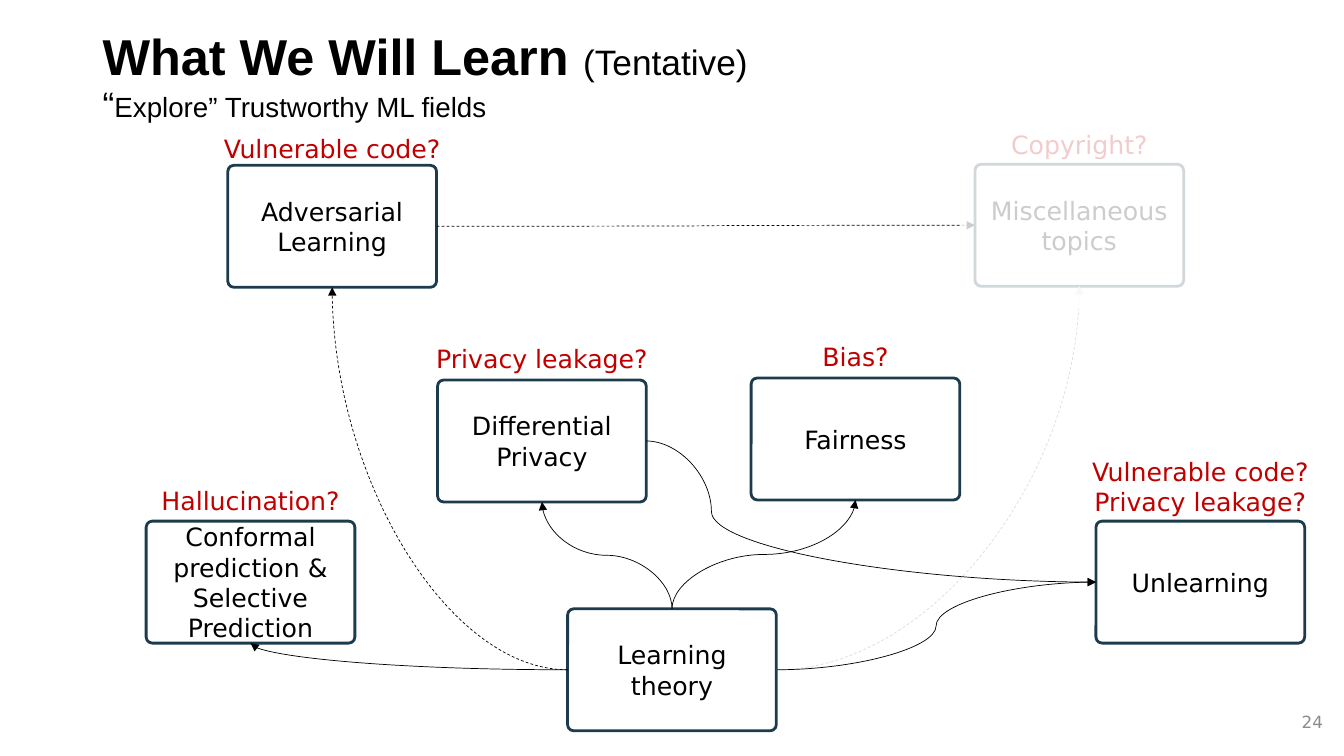
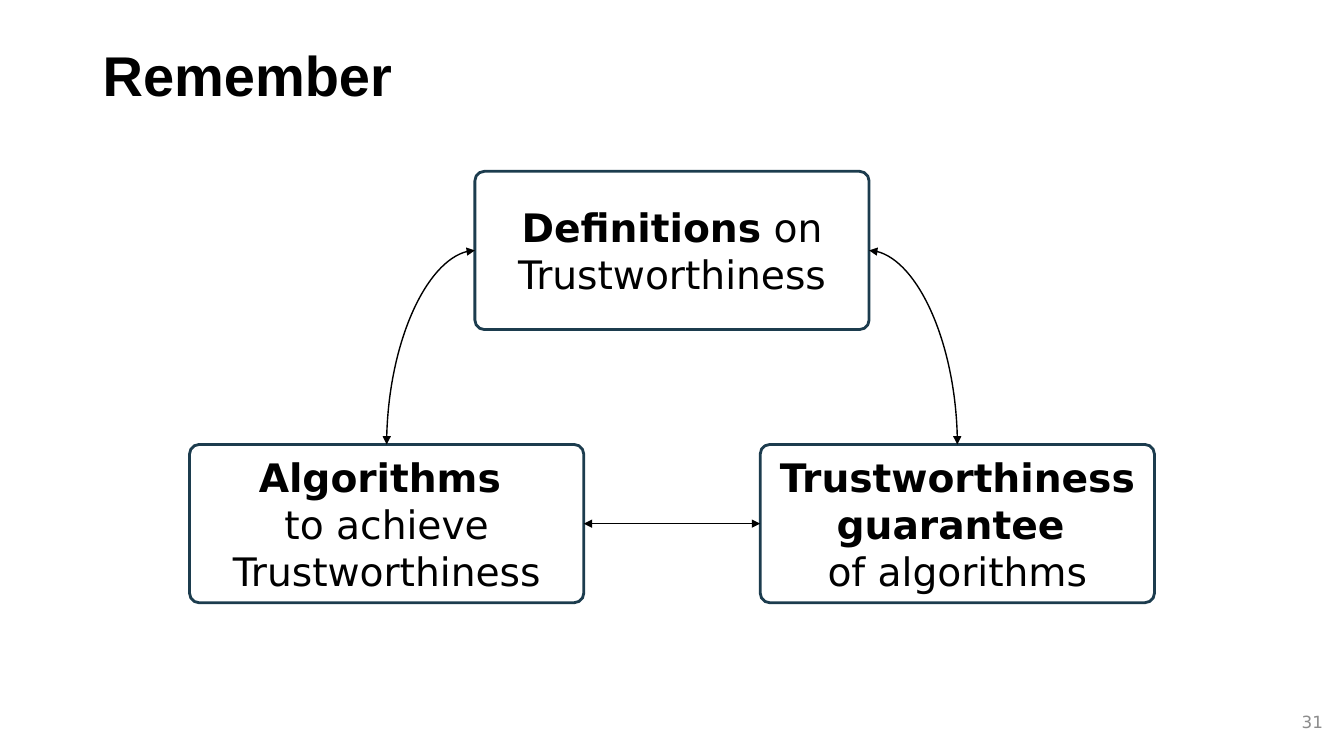
import pptx
import pptx.util
import pptx.dml.color
import pptx.enum.dml
import pptx.enum.shapes
import pptx.enum.text
import pptx.oxml.ns
import lxml.etree

Inches = pptx.util.Inches
Pt = pptx.util.Pt
Kind = pptx.enum.shapes.MSO_SHAPE
Wire = pptx.enum.shapes.MSO_CONNECTOR
Align = pptx.enum.text.PP_ALIGN
Anchor = pptx.enum.text.MSO_ANCHOR
qn = pptx.oxml.ns.qn

TOP, LEFT, BASE, RIGHT = range(4)


def color(code):
    return pptx.dml.color.RGBColor.from_string(code)


def child(node, tag, **attrs):
    return lxml.etree.SubElement(node, qn(tag), attrs)


def write(frame, paras, size=18, font="DejaVu Sans", ink="000000", bold=False,
          align=Align.CENTER, anchor=Anchor.MIDDLE, lead=None):
    frame.word_wrap = True
    frame.vertical_anchor = anchor
    for i, runs in enumerate(paras):
        para = frame.paragraphs[0] if i == 0 else frame.add_paragraph()
        para.alignment = align
        para.line_spacing = lead
        for item in [runs] if isinstance(runs, str) else runs:
            if item == "\n":
                para.add_line_break()
                continue
            text, style = (item, {}) if isinstance(item, str) else item
            run = para.add_run()
            run.text = text
            run.font.name = font
            run.font.size = Pt(style.get("size", size))
            run.font.bold = style.get("bold", bold)
            run.font.color.rgb = color(ink)


class Deck:
    edge, alert, ink, gray, white = "1C3C4E", "C00000", "000000", "8C8C8C", "FFFFFF"

    def __init__(self):
        self.file = pptx.Presentation()
        self.file.slide_width = Inches(13.33)
        self.file.slide_height = Inches(7.5)
        self.slide = None

    def start(self, title, size):
        self.slide = self.file.slides.add_slide(self.file.slide_layouts[6])
        self.text(0.92, 0.4, 11.5, 0.76, [title], size=size, font="Arial",
                  bold=True, align=Align.LEFT, lead=0.9)

    def text(self, x, y, w, h, paras, **style):
        area = self.slide.shapes.add_textbox(*map(Inches, (x, y, w, h)))
        write(area.text_frame, paras, **style)

    def number(self, value):
        self.text(10.22, 6.96, 3, 0.4, [value], size=12, ink=self.gray,
                  align=Align.RIGHT)

    def shape(self, kind, x, y, w, h):
        shape = self.slide.shapes.add_shape(kind, *map(Inches, (x, y, w, h)))
        shape.shadow.inherit = False
        return shape

    def box(self, x, y, w, h, paras, size=18, curve=0.05):
        box = self.shape(Kind.ROUNDED_RECTANGLE, x, y, w, h)
        box.adjustments[0] = curve
        box.fill.background()
        box.line.color.rgb = color(self.edge)
        box.line.width = Pt(2)
        write(box.text_frame, paras, size=size)
        return box

    def topic(self, x, y, paras, high=None, risks=()):
        w = 2.07
        box = self.box(x, y, w, 1.21, paras)
        if risks:
            wide = 2.48
            self.text(x + (w - wide) / 2, high, wide, 0.4, risks,
                      ink=self.alert, anchor=Anchor.TOP)
        return box

    def veil(self, x, y, w, h, alpha):
        veil = self.shape(Kind.RECTANGLE, x, y, w, h)
        veil.line.fill.background()
        veil.fill.solid()
        veil.fill.fore_color.rgb = color(self.white)
        tint = veil.fill._xPr.find(".//" + qn("a:srgbClr"))
        child(tint, "a:alpha", val=str(alpha * 1000))

    def link(self, a, exit, b, entry, ink=ink, width=0.5, dash=False,
             both=False, bend=None, kind=Wire.CURVE):
        wire = self.slide.shapes.add_connector(kind, 0, 0, 0, 0)
        wire.begin_connect(a, exit)
        wire.end_connect(b, entry)
        props = wire._element.spPr
        geom = props.find(qn("a:prstGeom"))
        if kind == Wire.CURVE:
            if exit in (LEFT, RIGHT) and entry in (TOP, BASE):
                geom.set("prst", "curvedConnector2")
            elif exit == TOP:
                self.rise(wire)
        if bend is not None:
            child(geom.get_or_add_avLst(), "a:gd", name="adj1",
                  fmla=f"val {round(bend * 100000)}")
        wire.line.color.rgb = color(ink)
        wire.line.width = Pt(width)
        if dash:
            wire.line.dash_style = pptx.enum.dml.MSO_LINE.DASH
        line = props.find(qn("a:ln"))
        if both:
            child(line, "a:headEnd", type="triangle")
        child(line, "a:tailEnd", type="triangle")
        child(props, "a:effectLst")

    def rise(self, wire):
        x, y = wire.begin_x, wire.begin_y
        dx, dy = wire.end_x - x, wire.end_y - y
        wide, high = abs(dy), abs(dx)
        wire.left, wire.top = x + (dx - wide) // 2, y + (dy - high) // 2
        wire.width, wire.height = wide, high
        frame = wire._element.spPr.find(qn("a:xfrm"))
        frame.set("rot", str(270 * 60000))
        frame.set("flipH", "0")
        frame.set("flipV", "1" if dx < 0 else "0")


def topics(deck):
    plain = {"bold": False}
    deck.start(["What We Will Learn ", ("(Tentative)", {"size": 25.2, **plain}), "\n",
                ("“", {"size": 25.2, **plain}),
                ("Explore” Trustworthy ML fields", {"size": 19.8, **plain})], 36)
    code, leak = "Vulnerable code?", "Privacy leakage?"
    theory = deck.topic(5.63, 6.04, ["Learning theory"])
    conform = deck.topic(1.45, 5.17, ["Conformal prediction &", "Selective Prediction"],
                         4.77, ["Hallucination?"])
    private = deck.topic(4.34, 3.77, ["Differential", "Privacy"], 3.36, [leak])
    attack = deck.topic(2.26, 1.64, ["Adversarial", "Learning"], 1.27, [code])
    forget = deck.topic(10.87, 5.17, ["Unlearning"], 4.48, [code, leak])
    fair = deck.topic(7.45, 3.75, ["Fairness"], 3.34, ["Bias?"])
    misc = deck.topic(9.67, 1.63, ["Miscellaneous topics"], 1.23, ["Copyright?"])
    deck.link(theory, LEFT, conform, BASE)
    deck.link(theory, TOP, private, BASE)
    deck.link(theory, TOP, fair, BASE)
    deck.link(theory, RIGHT, misc, BASE, ink="DDDDDD", dash=True)
    deck.link(theory, LEFT, attack, BASE, dash=True)
    deck.link(theory, RIGHT, forget, LEFT)
    deck.link(attack, RIGHT, misc, LEFT, dash=True)
    deck.number("24")
    deck.veil(9.53, 1.26, 2.48, 1.81, 80)
    deck.link(private, RIGHT, forget, LEFT, bend=0.145)


def recap(deck):
    deck.start(["Remember"], 40)
    deck.number("31")
    strong = {"bold": True}
    goals, means, proof = [
        deck.box(x, y, 3.91, 1.57, paras, size=28, curve=0.06)
        for x, y, paras in (
            (4.71, 1.7, [[("Definitions", strong), " on Trustworthiness"]]),
            (1.88, 4.41, [[("Algorithms ", strong)], "to achieve Trustworthiness"]),
            (7.54, 4.41, [[("Trustworthiness guarantee ", strong)], "of algorithms"]),
        )]
    deck.link(goals, LEFT, means, TOP, width=1, both=True)
    deck.link(goals, RIGHT, proof, TOP, width=1, both=True)
    deck.link(means, RIGHT, proof, LEFT, width=1, both=True, kind=Wire.STRAIGHT)


def main():
    deck = Deck()
    topics(deck)
    recap(deck)
    deck.file.save("out.pptx")


if __name__ == "__main__":
    main()
